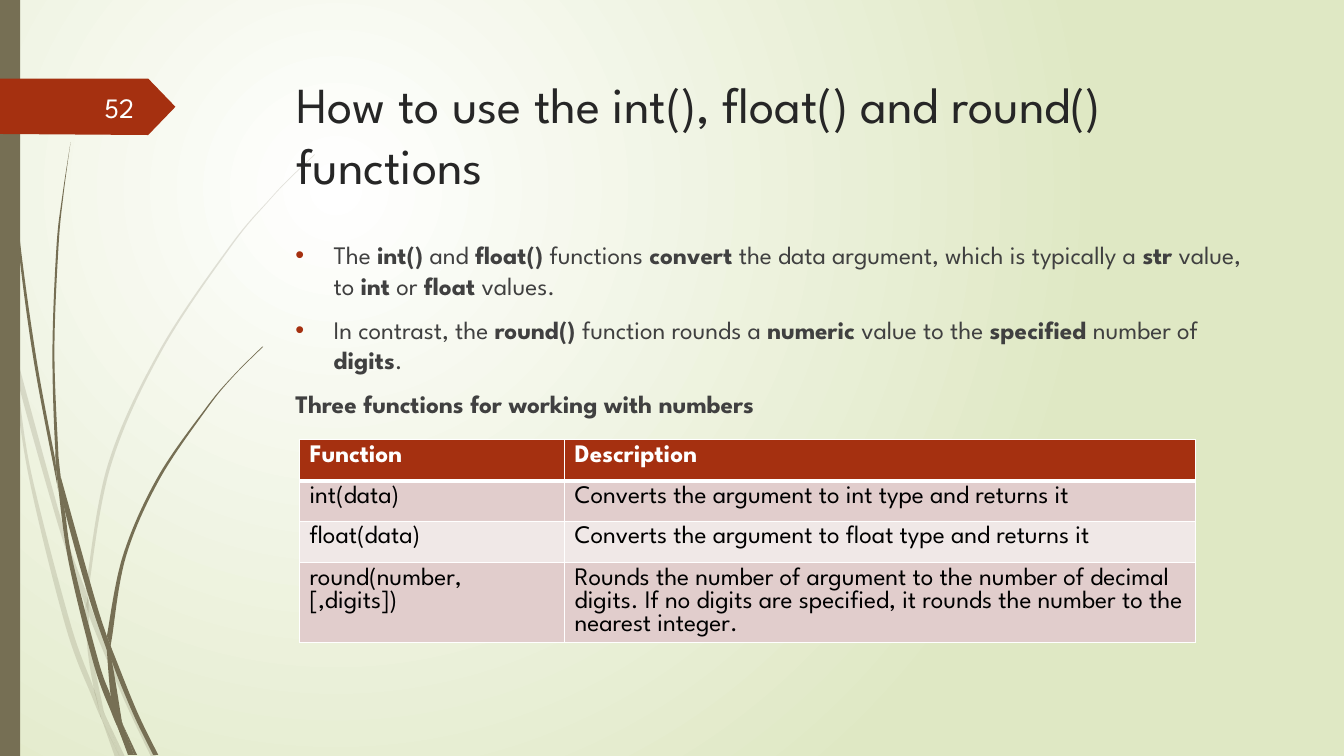
from lxml import etree
from pptx import Presentation
from pptx.dml.color import RGBColor
from pptx.enum.shapes import MSO_SHAPE as SHAPE
from pptx.enum.text import MSO_ANCHOR as ANCHOR, PP_ALIGN as ALIGN
from pptx.oxml import parse_xml
from pptx.oxml.ns import nsdecls, qn
from pptx.util import Inches, Pt

FONT = "League Spartan"
OLIVE, RUST, WHITE = "766F54", "A53010", "FFFFFF"

# Each outline is a list of edges; an edge is a smooth curve through its points, in inches.
PALE_GRASS = [
    [[(.11, 3.5), (.09, 3.22), (0, 2.82)], [(0, 2.99), (.1, 3.44), (.11, 3.5)]],
    [[(.14, 3.45), (.17, 3.76), (.58, 5.22), (.84, 5.99)],
     [(.85, 5.86), (.62, 5.2), (.14, 3.45)]],
    [[(.88, 5.96), (.88, 6.1), (1.23, 6.94), (1.5, 7.51)],
     [(1.55, 7.51), (1.27, 6.92), (.92, 6.07), (.88, 5.96)]],
    [[(1.19, 7.51)], [(1.24, 7.51), (1.05, 7.11)]],
    [[(.11, 3.5), (.28, 4.7), (.65, 6.21), (.92, 6.93), (1.01, 7.14)],
     [(.99, 7.07), (.93, 6.83), (.7, 6.19), (.31, 4.69), (.17, 3.76), (.11, 3.5)]],
    [[(.84, 5.99), (.87, 6.46), (.93, 6.83), (.96, 6.92), (1.05, 7.11)],
     [(1.03, 7.06), (.91, 6.46), (.88, 6.1)]],
    [[(3.12, 1.53), (2.89, 1.75), (2.68, 1.97), (2.28, 2.44), (1.58, 3.48),
      (1.07, 4.61), (.85, 5.84)],
     [(.88, 5.96), (.88, 5.84), (1.1, 4.62), (1.6, 3.49), (2.29, 2.45), (2.68, 1.98),
      (2.9, 1.75), (3.12, 1.54)]],
    [[(1.01, 7.14), (1.14, 7.51)], [(1.19, 7.51), (1.01, 7.14)]],
    [[(.88, 6.08)], [(.88, 5.96)], [(.85, 5.86), (.84, 5.99)]],
    [[(.93, 6.83), (.99, 7.07), (1.01, 7.14), (1.19, 7.51)],
     [(1.05, 7.11), (.96, 6.92), (.93, 6.83)]],
]
DARK_GRASS = [
    [[(.03, 0), (.04, .48), (.07, 1.1), (.17, 2.33), (.33, 3.55), (.56, 4.77), (.57, 4.81)],
     [(.55, 4.57), (.36, 3.55), (.19, 2.32), (.08, 1.09), (.05, .48), (.04, 0)]],
    [[(.6, 4.72), (.64, 5.05), (.88, 5.92), (1.06, 6.45)],
     [(1.06, 6.31), (.93, 5.9), (.6, 4.72)]],
    [[(1.1, 6.41), (1.11, 6.56), (1.32, 7.08), (1.52, 7.49)],
     [(1.57, 7.49), (1.36, 7.06), (1.13, 6.49), (1.1, 6.41)]],
    [[(.57, 4.77), (.68, 5.57), (.93, 6.59), (1.11, 7.08), (1.17, 7.22)],
     [(1.16, 7.17), (1.1, 6.91), (.98, 6.57), (.72, 5.56), (.64, 5.05), (.57, 4.77)]],
    [[(.7, 1.41), (.62, 1.93), (.56, 2.45), (.52, 3.49), (.55, 4.49), (.6, 4.72)],
     [(.58, 4.53), (.54, 3.49), (.58, 2.45), (.63, 1.93), (.7, 1.41)]],
    [[(1.33, 7.49)], [(1.36, 7.49), (1.22, 7.19)]],
    [[(.55, 4.49), (.55, 4.53), (.57, 4.77), (.64, 5.05)], [(.6, 4.72), (.55, 4.49)]],
    [[(2.6, 3.44), (2.31, 3.73), (2.04, 4.05), (1.56, 4.74), (1.22, 5.51), (1.06, 6.31)],
     [(1.1, 6.41), (1.11, 6.33), (1.25, 5.52), (1.58, 4.76), (2.05, 4.06), (2.31, 3.74),
      (2.61, 3.44)]],
    [[(1.17, 7.22), (1.27, 7.49)], [(1.31, 7.49), (1.17, 7.22)]],
    [[(1.06, 6.45), (1.1, 6.91), (1.16, 7.06), (1.22, 7.19)],
     [(1.21, 7.16), (1.11, 6.56), (1.06, 6.45)]],
    [[(1.06, 6.45), (1.11, 6.56)], [(1.1, 6.41), (1.06, 6.31)]],
    [[(1.1, 6.91), (1.17, 7.22), (1.3, 7.49)], [(1.33, 7.49), (1.22, 7.19), (1.1, 6.91)]],
]
NUMBER_TAG = [[(0, .78)], [(1.47, .78)], [(1.74, 1.06)], [(1.47, 1.34)], [(0, 1.33)]]

# Text between ** marks is bold.
POINTS = [
    "The **int() **and **float() **functions **convert** the data argument, which is "
    "typically a **str** value, to **int** or **float** values.",
    "In contrast, the **round() **function rounds a **numeric** value to the "
    "**specified** number of **digits**.",
]
TABLE = [
    ("Function", "Description"),
    ("int(data)", "Converts the argument to int type and returns it"),
    ("float(data)", "Converts the argument to float type and returns it"),
    ("round(number,\v[,digits])",
     "Rounds the number of argument to the number of decimal digits. If no digits are "
     "specified, it rounds the number to the nearest integer."),
]
ROW_FILLS = [RUST, "E1CDCC", "F0E8E7", "E1CDCC"]
ROW_HEIGHTS = [0.41, 0.4, 0.41, 0.79]


def rgb(color):
    return RGBColor.from_string(color)


def paint(sp, color, alpha=None):
    sp.shadow.inherit = False
    sp.line.fill.background()
    sp.fill.solid()
    sp.fill.fore_color.rgb = rgb(color)
    if alpha:
        clr = sp._element.spPr.find(".//" + qn("a:srgbClr"))
        etree.SubElement(clr, qn("a:alpha"), val=str(alpha * 1000))


def style(p, size, color, leading=1.2, bold=None):
    """Set the font and an exact line height of leading times the size."""
    f = p.font
    f.name, f.size, f.bold = FONT, Pt(size), bold
    f.color.rgb = rgb(color)
    p.line_spacing = Pt(round(size * leading, 1))


def set_background(s):
    fill = s.background.fill
    fill.gradient()
    for stop, color in zip(fill.gradient_stops, (WHITE, "DFE8C4")):
        stop.color.rgb = rgb(color)
    lin = s.element.find(".//" + qn("a:lin"))
    lin.getparent().replace(lin, parse_xml(
        f'<a:path {nsdecls("a")} path="circle">'
        '<a:fillToRect l="50000" t="50000" r="100000" b="100000"/></a:path>'))


def curves(edge):
    """Bezier points (two handles and an end) for each step along the edge."""
    ends = [edge[0], *edge, edge[-1]]
    for a, b, c, d in zip(ends, ends[1:], ends[2:], ends[3:]):
        yield ([q + (r - p) / 6 for p, q, r in zip(a, b, c)],
               [q - (r - p) / 6 for p, q, r in zip(b, c, d)], c)


def add_outline(s, edges, color, alpha=None):
    corners = [(Inches(x), Inches(y)) for edge in edges for x, y in edge]
    builder = s.shapes.build_freeform(*corners[0])
    builder.add_line_segments(corners[1:], close=True)
    sp = builder.convert_to_shape()
    paint(sp, color, alpha)
    lines = iter(sp._element.findall(".//" + qn("a:lnTo")))
    for i, edge in enumerate(edges):
        if i:
            next(lines)
        for points in curves(edge):
            line = next(lines)
            bezier = etree.Element(qn("a:cubicBezTo"))
            for x, y in points:
                etree.SubElement(bezier, qn("a:pt"), x=str(Inches(x) - sp.left),
                                 y=str(Inches(y) - sp.top))
            line.getparent().replace(line, bezier)


def add_text(s, x, y, w, h):
    tf = s.shapes.add_textbox(Inches(x), Inches(y), Inches(w), Inches(h)).text_frame
    tf.word_wrap = True
    return tf


def add_bullet(p):
    pPr = p._p.get_or_add_pPr()
    pPr.set("marL", str(Inches(0.38)))
    pPr.set("indent", str(-Inches(0.38)))
    for tag in (f'buClr {nsdecls("a")}><a:srgbClr val="{RUST}"/></a:buClr>',
                f'buFont {nsdecls("a")} typeface="Arial"/>',
                f'buChar {nsdecls("a")} char="•"/>'):
        pPr.insert_element_before(parse_xml("<a:" + tag), "a:tabLst", "a:defRPr", "a:extLst")


def add_body(s):
    tf = add_text(s, 2.83, 2.33, 9.75, 4.13)
    for i, text in enumerate(POINTS + ["**Three functions for working with numbers**"]):
        p = tf.add_paragraph() if i else tf.paragraphs[0]
        style(p, 18, "404040")
        p.space_before = Pt(10)
        for j, part in enumerate(text.split("**")):
            if part:
                r = p.add_run()
                r.text, r.font.bold = part, j % 2 == 1
        if i < len(POINTS):
            add_bullet(p)


def set_borders(cell, bottom, top):
    tcPr = cell._tc.get_or_add_tcPr()
    for i, (side, width) in enumerate(zip("LRTB", (1, 1, top, bottom))):
        tcPr.insert(i, parse_xml(
            f'<a:ln{side} {nsdecls("a")} w="{Pt(width)}"><a:solidFill>'
            f'<a:srgbClr val="{WHITE}"/></a:solidFill></a:ln{side}>'))


def add_function_table(s):
    table = s.shapes.add_table(len(TABLE), 2, Inches(2.97), Inches(4.36),
                               Inches(8.89), Inches(sum(ROW_HEIGHTS))).table
    for col, width in zip(table.columns, (2.63, 6.26)):
        col.width = Inches(width)
    for i, (texts, color) in enumerate(zip(TABLE, ROW_FILLS)):
        table.rows[i].height = Inches(ROW_HEIGHTS[i])
        for cell, text in zip(table.rows[i].cells, texts):
            cell.text_frame.text = text
            style(cell.text_frame.paragraphs[0], 18, "000000" if i else WHITE, 0.92, i == 0)
            cell.fill.solid()
            cell.fill.fore_color.rgb = rgb(color)
            set_borders(cell, bottom=1 if i else 3, top=3 if i == 1 else 1)


def main():
    prs = Presentation()
    prs.slide_width, prs.slide_height = Inches(13.33), Inches(7.5)
    s = prs.slides.add_slide(prs.slide_layouts[6])
    set_background(s)
    for grass, alpha in ((PALE_GRASS, 20), (DARK_GRASS, None)):
        for edges in grass:
            add_outline(s, edges, OLIVE, alpha)
    paint(s.shapes.add_shape(SHAPE.RECTANGLE, 0, 0, Inches(0.2), Inches(7.5)), OLIVE)
    add_outline(s, NUMBER_TAG, RUST)
    title = add_text(s, 2.84, 0.68, 9.75, 1.4).paragraphs[0]
    title.text = "How to use the int(), float() and round() functions"
    style(title, 36, "262626")
    add_body(s)
    number = add_text(s, 0.58, 0.86, 0.85, 0.4)
    number.vertical_anchor = ANCHOR.MIDDLE
    p = number.paragraphs[0]
    p.text, p.alignment = "52", ALIGN.RIGHT
    style(p, 20, "FEFFFF")
    add_function_table(s)
    prs.save("out.pptx")


if __name__ == "__main__":
    main()
